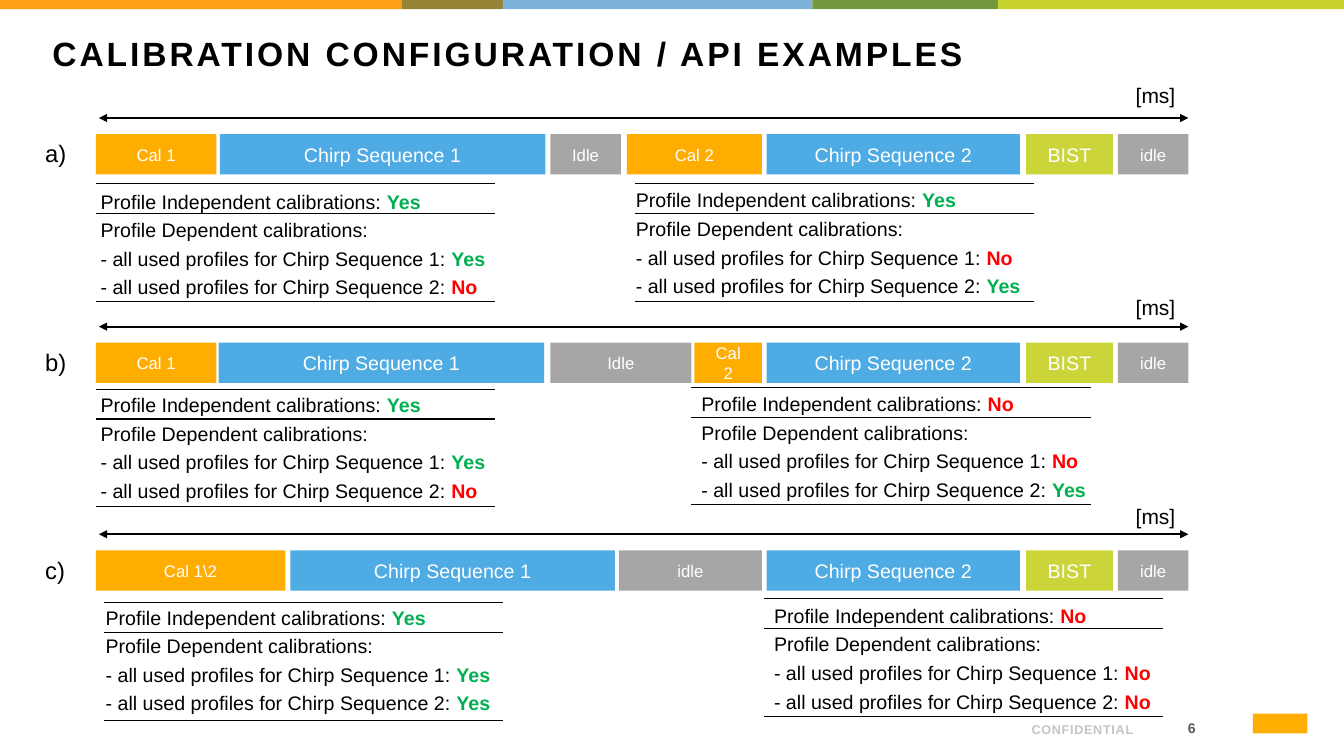
"""Build the slide that compares three calibration schedules."""
from lxml.etree import SubElement
from pptx import Presentation
from pptx.dml.color import RGBColor
from pptx.enum.shapes import MSO_CONNECTOR as Connector, MSO_SHAPE as Shape
from pptx.enum.text import MSO_ANCHOR as Anchor, PP_ALIGN as Align
from pptx.oxml.ns import qn
from pptx.util import Pt

BLACK = RGBColor(0x00, 0x00, 0x00)
WHITE = RGBColor(0xFF, 0xFF, 0xFF)
AMBER = RGBColor(0xFF, 0xAD, 0x00)
BLUE = RGBColor(0x4F, 0xAB, 0xE3)
LIME = RGBColor(0xCB, 0xD5, 0x3A)
GREY = RGBColor(0xA6, 0xA6, 0xA6)
GREEN = RGBColor(0x00, 0xB0, 0x50)
RED = RGBColor(0xFF, 0x00, 0x00)
PAGE_GREY = RGBColor(0x59, 0x59, 0x59)
FOOTER_GREY = RGBColor(0xC4, 0xC4, 0xC4)

STRIPES = [
    (RGBColor(0xFF, 0xA0, 0x15), 286.6),
    (RGBColor(0x95, 0x84, 0x36), 72.7),
    (RGBColor(0x7D, 0xB2, 0xDB), 221),
    (RGBColor(0x73, 0x98, 0x3E), 132.5),
    (RGBColor(0xC7, 0xD2, 0x2D), 247.2),
]
PHASE_STYLES = {"cal": (AMBER, 12), "chirp": (BLUE, 14), "idle": (GREY, 12), "bist": (LIME, 14)}
BAR_HEIGHT = 28.8
ARROW_GAP = 11.5
RULE_WIDTH = 285.1
RULE_OFFSETS = (0, 21.4, 84.2)
ANSWER_COLORS = {"Yes": GREEN, "No": RED}
QUESTIONS = [
    ("Profile Independent calibrations: ", 0),
    ("Profile Dependent calibrations:", None),
    ("- all used profiles for Chirp Sequence 1: ", 1),
    ("- all used profiles for Chirp Sequence 2: ", 2),
]

COMMON_PHASES = [("chirp", "Chirp Sequence 2", 547.6, 181), ("bist", "BIST", 733, 61.9),
                 ("idle", "idle", 798.5, 50.4)]
SCHEDULES = [
    ("a)", 95.8, 55.4, [("cal", "Cal 1", 68.4, 86.2), ("chirp", "Chirp Sequence 1", 157, 232.6),
                        ("idle", "Idle", 393.1, 50.4), ("cal", "Cal 2", 447.8, 96.5)]),
    ("b)", 244.8, 206.6, [("cal", "Cal 1", 68.4, 86.2), ("chirp", "Chirp Sequence 1", 156.2, 232.6),
                          ("idle", "Idle", 393.1, 100.8), ("cal", "Cal 2", 496.1, 48.2)]),
    ("c)", 393.1, 356.4, [("cal", "Cal 1\\2", 68.4, 135.4), ("chirp", "Chirp Sequence 1", 207.4, 231.8),
                          ("idle", "idle", 442.1, 102.2)]),
]
CALIBRATION_NOTES = [
    (64.8, 131.8, 68.4, 131, ("Yes", "Yes", "No")),
    (447.1, 131, 453.6, 131, ("Yes", "No", "Yes")),
    (64.8, 277.2, 68.4, 277.9, ("Yes", "Yes", "No")),
    (493.9, 276.5, 493.9, 276.5, ("No", "No", "Yes")),
    (68.4, 429.1, 74.2, 430.6, ("Yes", "Yes", "Yes")),
    (545.8, 427.7, 545.8, 427.7, ("No", "No", "No")),
]


def style_run(run, size, color, bold=False, spacing=0):
    """Format one run, with letter spacing in points."""
    run.font.name = "Arial"
    run.font.size = Pt(size)
    run.font.bold = bold
    run.font.color.rgb = color
    if spacing:
        run.font._element.set("spc", str(round(spacing * 100)))


def add_block(slide, left, top, width, height, fill):
    """Add a plain filled rectangle."""
    block = slide.shapes.add_shape(Shape.RECTANGLE, Pt(left), Pt(top), Pt(width), Pt(height))
    block.shadow.inherit = False
    block.fill.solid()
    block.fill.fore_color.rgb = fill
    block.line.fill.background()
    return block


def add_phase(slide, top, kind, caption, left, width):
    """Add one captioned phase of a schedule."""
    fill, size = PHASE_STYLES[kind]
    phase = add_block(slide, left, top, width, BAR_HEIGHT, fill)
    frame = phase.text_frame
    frame.margin_left = frame.margin_right = frame.margin_top = frame.margin_bottom = Pt(14.4)
    frame.vertical_anchor = Anchor.MIDDLE
    frame.word_wrap = True
    frame.text = caption
    frame.paragraphs[0].alignment = Align.CENTER
    style_run(frame.paragraphs[0].runs[0], size, WHITE)


def add_label(slide, text, left, top, width, height, size, color=BLACK, **style):
    """Add a one-line text box and return its frame."""
    frame = slide.shapes.add_textbox(Pt(left), Pt(top), Pt(width), Pt(height)).text_frame
    frame.word_wrap = False
    frame.text = text
    style_run(frame.paragraphs[0].runs[0], size, color, **style)
    return frame


def add_line(slide, left, top, right, weight, arrows=False):
    """Add a horizontal line, with arrowheads at both ends if asked."""
    line = slide.shapes.add_connector(Connector.STRAIGHT, Pt(left), Pt(top), Pt(right), Pt(top))
    line.line.color.rgb = BLACK
    line.line.width = Pt(weight)
    if arrows:
        for end in ("a:headEnd", "a:tailEnd"):
            SubElement(line.line._get_or_add_ln(), qn(end), type="triangle")
    SubElement(line._element.spPr, qn("a:effectLst"))


def add_schedule(slide, letter, top, unit_top, phases):
    """Add a lettered timeline with its time arrow and phases."""
    add_label(slide, letter, 25.2, top, 72, 72, 17)
    add_label(slide, "[ms]", 804.2, unit_top, 72, 72, 15)
    add_line(slide, 70.6, top - ARROW_GAP, 848.9, 1.5, arrows=True)
    for phase in phases + COMMON_PHASES:
        add_phase(slide, top, *phase)


def add_calibration_note(slide, left, top, rule_left, rule_top, answers):
    """Add the calibration answers between their rules."""
    frame = slide.shapes.add_textbox(Pt(left), Pt(top), Pt(290.9), Pt(84.2)).text_frame
    frame.word_wrap = True
    for index, (question, answer_index) in enumerate(QUESTIONS):
        paragraph = frame.add_paragraph() if index else frame.paragraphs[0]
        paragraph.text = question
        style_run(paragraph.runs[0], 14, BLACK)
        if index:
            paragraph.space_before = Pt(3.6)
        if answer_index is not None:
            answer = paragraph.add_run()
            answer.text = answers[answer_index]
            style_run(answer, 14, ANSWER_COLORS[answer.text], bold=True)
    for offset in RULE_OFFSETS:
        add_line(slide, rule_left, rule_top + offset, rule_left + RULE_WIDTH, 0.75)


def add_title(slide, text):
    """Place and format the slide title."""
    title = slide.shapes.title
    title.left, title.top, title.width, title.height = Pt(30.2), Pt(17.3), Pt(900), Pt(51.8)
    frame = title.text_frame
    frame.text = text
    frame.vertical_anchor = Anchor.TOP
    frame.margin_top = Pt(6)
    frame.paragraphs[0].alignment = Align.LEFT
    style_run(frame.paragraphs[0].runs[0], 24, BLACK, bold=True, spacing=2.1)


def add_footer(slide):
    """Add the confidentiality mark, the page number and a plain emblem."""
    mark = add_label(slide, "CONFIDENTIAL", 612.7, 505.4, 203.8, 24.5, 9, FOOTER_GREY, bold=True, spacing=0.5)
    mark.vertical_anchor = Anchor.BOTTOM
    page = add_label(slide, "6", 812.2, 509, 46.8, 21.6, 10, PAGE_GREY, bold=True)
    page.vertical_anchor = Anchor.MIDDLE
    page.margin_left = page.margin_right = Pt(5)
    for frame in (mark, page):
        frame.word_wrap = True
        frame.paragraphs[0].alignment = Align.RIGHT
    add_block(slide, 895, 509.8, 38.9, 14, AMBER)


def main():
    """Build and save the slide."""
    deck = Presentation()
    deck.slide_width, deck.slide_height = Pt(960), Pt(540)
    slide = deck.slides.add_slide(deck.slide_layouts[5])
    stripe_left = 0
    for color, width in STRIPES:
        add_block(slide, stripe_left, 0, width, 6.5, color)
        stripe_left += width
    add_title(slide, "CALIBRATION CONFIGURATION / API EXAMPLES")
    for schedule in SCHEDULES:
        add_schedule(slide, *schedule)
    for note in CALIBRATION_NOTES:
        add_calibration_note(slide, *note)
    add_footer(slide)
    deck.save("out.pptx")


if __name__ == "__main__":
    main()
